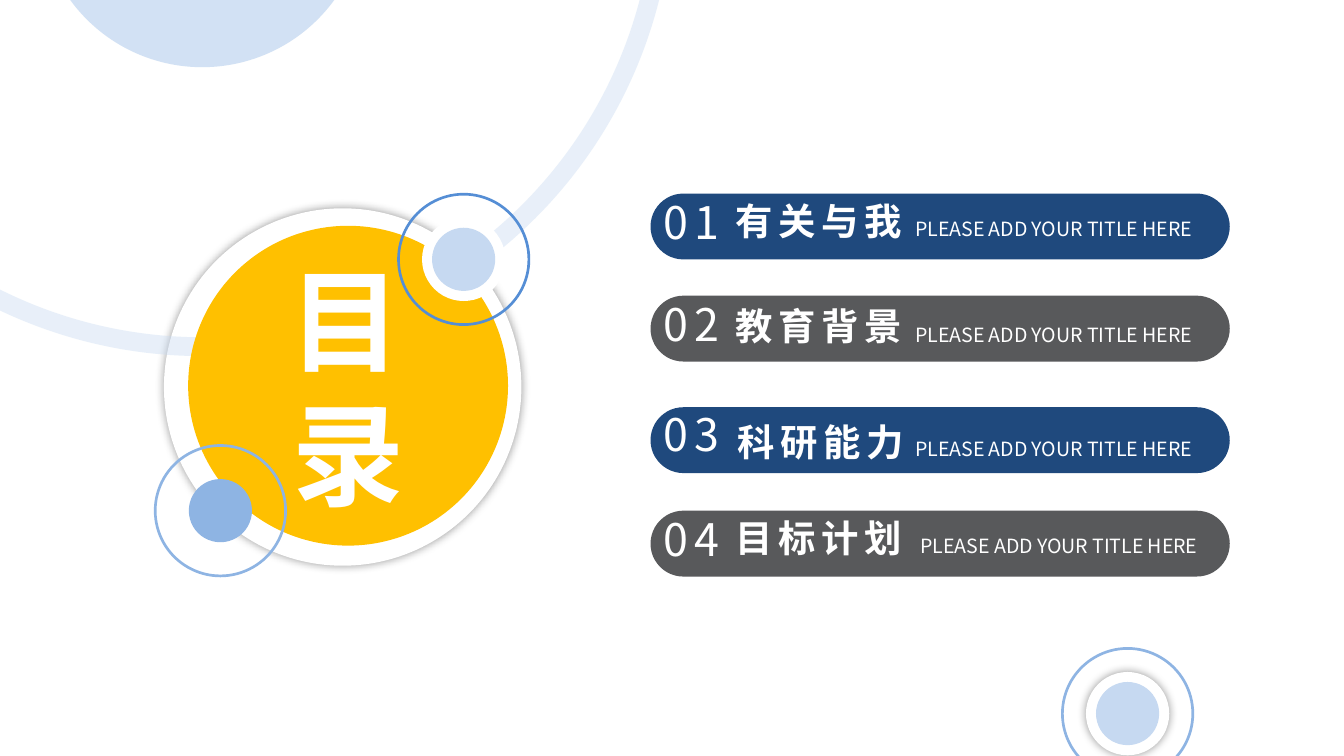
import pptx
import pptx.dml.color
import pptx.enum.shapes
import pptx.enum.text
import pptx.oxml.ns
import pptx.util
from lxml import etree
from pptx.util import Inches

RGBColor = pptx.dml.color.RGBColor
ShapeType = pptx.enum.shapes.MSO_SHAPE
Anchor = pptx.enum.text.MSO_ANCHOR
Align = pptx.enum.text.PP_ALIGN
qn = pptx.oxml.ns.qn

WHITE = RGBColor(0xFF, 0xFF, 0xFF)
NAVY = RGBColor(0x1F, 0x49, 0x7D)
GRAY = RGBColor(0x58, 0x59, 0x5B)
GOLD = RGBColor(0xFF, 0xC0, 0x00)
PALE_BLUE = RGBColor(0xC6, 0xD9, 0xF1)
LIGHT_BLUE = RGBColor(0x8E, 0xB4, 0xE3)
MID_BLUE = RGBColor(0x55, 0x8E, 0xD5)
FONT = "Noto Sans CJK SC"

presentation = pptx.Presentation()
presentation.slide_width = Inches(10)
presentation.slide_height = Inches(10) * 9 // 16
slide = presentation.slides.add_slide(presentation.slide_layouts[5])


def add_filled(kind, left, top, width, height, color, opacity=100, adjustment=None, shadow=False):
    shape = slide.shapes.add_shape(kind, Inches(left), Inches(top), Inches(width), Inches(height))
    shape.shadow.inherit = False
    shape.fill.solid()
    shape.fill.fore_color.rgb = color
    shape.line.fill.background()
    if adjustment is not None:
        shape.adjustments[0] = adjustment
    properties = shape._element.spPr
    if opacity < 100:
        color_element = properties.find(qn("a:solidFill"))[0]
        etree.SubElement(color_element, qn("a:alpha"), val=str(opacity * 1000))
    if shadow:
        effects = properties.find(qn("a:effectLst"))
        outer = etree.SubElement(effects, qn("a:outerShdw"), blurRad=str(pptx.util.Pt(5)), dist="0", dir="0")
        black = etree.SubElement(outer, qn("a:srgbClr"), val="000000")
        etree.SubElement(black, qn("a:alpha"), val="40000")


def write_text(shape, text, size, bold=False, spacing=0, align=Align.LEFT,
               anchor=Anchor.TOP, line_spacing=None, insets=(0.1, 0.05, 0.1, 0.05)):
    frame = shape.text_frame
    frame.word_wrap = True
    frame.auto_size = pptx.enum.text.MSO_AUTO_SIZE.NONE
    frame.vertical_anchor = anchor
    frame.margin_left, frame.margin_top, frame.margin_right, frame.margin_bottom = map(Inches, insets)
    paragraph = frame.paragraphs[0]
    paragraph.alignment = align
    paragraph.line_spacing = line_spacing
    run = paragraph.add_run()
    run.text = text
    run.font.size = pptx.util.Pt(size)
    run.font.bold = bold
    run.font.name = FONT
    run.font.color.rgb = WHITE
    run_properties = run.font._element
    run_properties.set("spc", str(spacing * 100))
    etree.SubElement(run_properties, qn("a:ea"), typeface=FONT)


add_filled(ShapeType.OVAL, 1.22, 1.55, 2.66, 2.66, WHITE, shadow=True)
add_filled(ShapeType.DONUT, -2, -4.36, 7.01, 7.01, PALE_BLUE, opacity=40, adjustment=0.02)
add_filled(ShapeType.OVAL, 0.29, -1.93, 2.43, 2.43, PALE_BLUE, opacity=78)

CAPTION = "PLEASE ADD YOUR TITLE HERE"
entries = [
    ("有关与我", NAVY, 1.44, 5.08, 1.40, 6.42, 1.52, 1.40),
    ("教育背景", GRAY, 2.20, 5.08, 2.18, 6.42, 2.31, 2.16),
    ("科研能力", NAVY, 3.03, 5.10, 3.04, 6.42, 3.16, 2.98),
    ("目标计划", GRAY, 3.80, 5.08, 3.76, 6.46, 3.88, 3.76),
]
for number, entry in enumerate(entries, start=1):
    label, color, bar_top, label_left, label_top, caption_left, caption_top, number_top = entry
    add_filled(ShapeType.ROUNDED_RECTANGLE, 4.84, bar_top, 4.31, 0.49, color, adjustment=0.5)
    label_box = slide.shapes.add_textbox(Inches(label_left), Inches(label_top), Inches(2.11), Inches(0.41))
    write_text(label_box, label, 20, bold=True, spacing=3, anchor=Anchor.BOTTOM, insets=(0.39, 0, 0, 0))
    caption_box = slide.shapes.add_textbox(Inches(caption_left), Inches(caption_top), Inches(2.87), Inches(0.33))
    write_text(caption_box, CAPTION, 10.5, anchor=Anchor.MIDDLE, line_spacing=1.2, insets=(0.39, 0, 0, 0))
    number_box = slide.shapes.add_textbox(Inches(4.84), Inches(number_top), Inches(0.67), Inches(0.5))
    write_text(number_box, f"{number:02}", 24, spacing=3)

add_filled(ShapeType.OVAL, 1.4, 1.68, 2.38, 2.38, GOLD)
title = slide.shapes.title
title.left, title.top, title.width, title.height = map(Inches, (1.75, 2.03, 1.68, 1.68))
write_text(title, "目 录", 60, bold=True, spacing=3, align=Align.CENTER, anchor=Anchor.MIDDLE)
slide.shapes._spTree.append(title._element)

badges = [
    (8.39, 5.31, PALE_BLUE, LIGHT_BLUE, True, True),
    (3.45, 1.93, PALE_BLUE, MID_BLUE, True, False),
    (1.64, 3.80, LIGHT_BLUE, LIGHT_BLUE, False, False),
]
for center_x, center_y, dot_color, ring_color, has_disc, has_shadow in badges:
    if has_disc:
        add_filled(ShapeType.OVAL, center_x - 0.31, center_y - 0.31, 0.62, 0.62, WHITE, shadow=has_shadow)
    dot_size, ring_size = 0.47, 0.99
    add_filled(ShapeType.OVAL, center_x - dot_size / 2, center_y - dot_size / 2, dot_size, dot_size, dot_color)
    add_filled(ShapeType.DONUT, center_x - ring_size / 2, center_y - ring_size / 2,
               ring_size, ring_size, ring_color, adjustment=0.02)

presentation.save("out.pptx")
